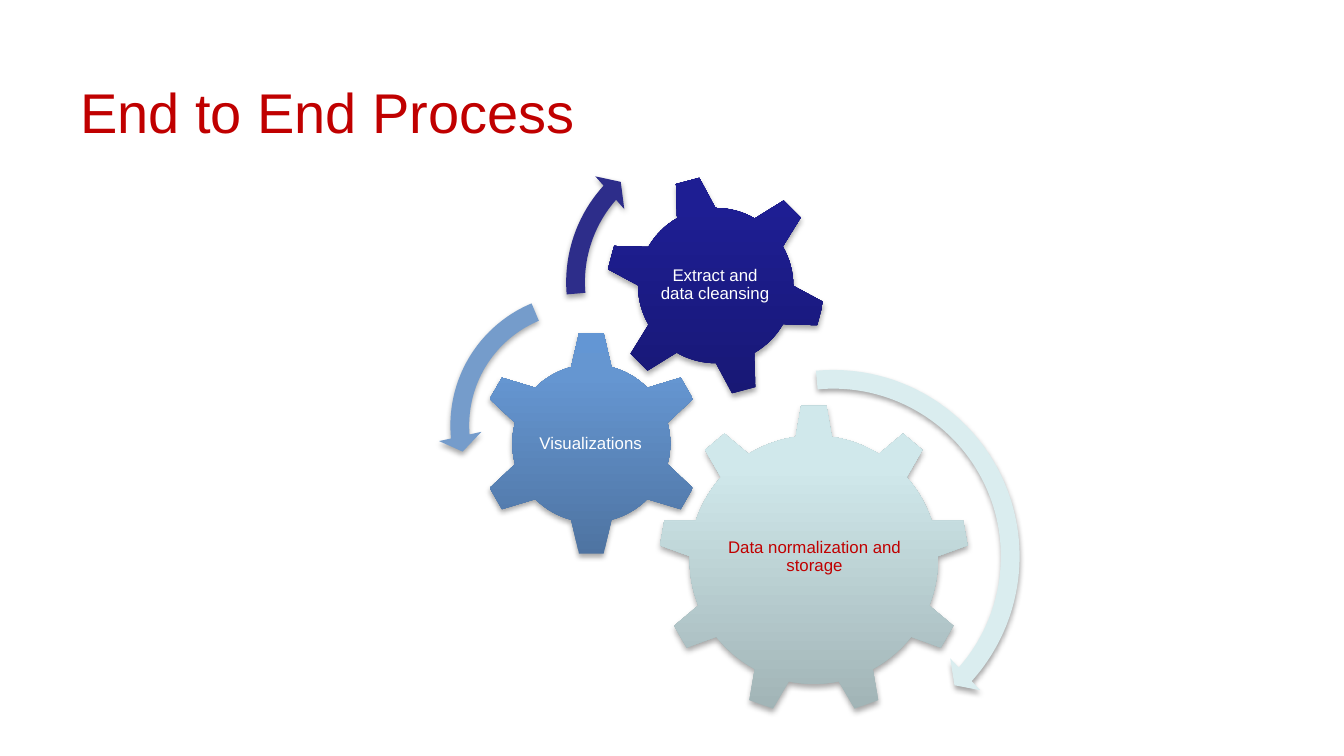
from lxml import etree
from pptx import Presentation
from pptx import util as u
from pptx.dml.color import RGBColor
from pptx.enum import shapes, text
from pptx.oxml import ns

WIDTH = 10
HEIGHT = WIDTH * 9 / 16
COLUMNS = 100
CELL = u.Inches(WIDTH / COLUMNS)  # side of a square grid cell
FONT = "Arial"
COLORS = {
    "red": "C00000",
    "white": "FFFFFF",
    "shadow": "000000",
    "storage arrow": "DAEDEF",
    "visual arrow": "759CCB",
    "extract arrow": "2D2D8A",
}
# Gradient stops from the bottom of a gear to its top
GRADIENTS = {
    "storage": ("A0B3B5", "D0E8EB", "D1EAEC"),
    "visual": ("4E73A1", "6596D1", "6396D4"),
    "extract": ("171771", "1E1E93", "1C1C96"),
}
STOPS = (0, 80, 100)
SHAPE = shapes.MSO_SHAPE


def cells(*counts):
    return [u.Emu(round(count * CELL)) for count in counts]


def add_node(parent, tag, **attributes):
    node = etree.SubElement(parent, ns.qn(tag))
    for name, value in attributes.items():
        node.set(name, str(value))
    return node


def add_text(holder, words, left, top, width, height, *, size, color,
             align=text.PP_ALIGN.LEFT, inset=None, spacing=None):
    box = holder.add_textbox(*cells(left, top, width, height))
    frame = box.text_frame
    frame.word_wrap = True
    frame.vertical_anchor = text.MSO_ANCHOR.MIDDLE
    if inset is not None:
        frame.margin_left = frame.margin_right = u.Inches(inset)
        frame.margin_top = frame.margin_bottom = u.Inches(inset)
    para = frame.paragraphs[0]
    para.alignment = align
    para.line_spacing = spacing
    span = para.add_run()
    span.text = words
    span.font.name = FONT
    span.font.size = u.Pt(size)
    span.font.color.rgb = RGBColor.from_string(COLORS[color])


def add_soft_shadow(shape):
    shape.shadow.inherit = False
    effects = shape._element.spPr.find(ns.qn("a:effectLst"))
    shadow = add_node(effects, "a:outerShdw", blurRad=u.Pt(3.1), dist=u.Pt(1.8),
                      dir=90 * 60000, rotWithShape=0)
    color = add_node(shadow, "a:srgbClr", val=COLORS["shadow"])
    add_node(color, "a:alpha", val=35000)


def fill_upward(shape, colors):
    """Fill with a three-stop gradient that runs up the page, even on a turned shape."""
    shape.fill.gradient()
    gradient = shape._element.spPr.find(ns.qn("a:gradFill"))
    gradient.set("rotWithShape", "0")
    stops = gradient.find(ns.qn("a:gsLst"))
    for stop in list(stops):
        stops.remove(stop)
    for position, color in zip(STOPS, colors):
        stop = add_node(stops, "a:gs", pos=position * 1000)
        add_node(stop, "a:srgbClr", val=color)
    direction = gradient.find(ns.qn("a:lin"))
    direction.set("ang", str(270 * 60000))
    direction.set("scaled", "0")


def add_gear(holder, kind, left, top, side, colors, rotation=0):
    gear = holder.add_shape(kind, *cells(left, top, side, side))
    gear.rotation = rotation
    fill_upward(gear, colors)
    gear.line.fill.background()
    add_soft_shadow(gear)


def add_turn_arrow(holder, kind, left, top, side, color, percents):
    """Add a bent arrow; its adjustments are given in percent."""
    arrow = holder.add_shape(kind, *cells(left, top, side, side))
    for index, percent in enumerate(percents):
        arrow.adjustments[index] = percent / 100
    arrow.fill.solid()
    arrow.fill.fore_color.rgb = RGBColor.from_string(COLORS[color])
    arrow.line.fill.background()
    add_soft_shadow(arrow)


def main():
    deck = Presentation()
    deck.slide_width, deck.slide_height = u.Inches(WIDTH), u.Inches(HEIGHT)
    page = deck.slides.add_slide(deck.slide_layouts[6])
    add_text(page.shapes, "End to End Process", 5, 5, 90, 6.6, size=30, color="red")

    diagram = page.shapes.add_group_shape().shapes
    gears = [
        (SHAPE.GEAR_9, (49, 30.1, 23.1), "storage", 0,
         "Data normalization and storage", (53.7, 35.5, 13.8, 11.9), "red"),
        (SHAPE.GEAR_6, (35.6, 24.6, 16.8), "visual", 0,
         "Visualizations", (39.8, 28.9, 8.3, 8.3), "white"),
        (SHAPE.GEAR_6, (45, 13, 16.5), "extract", 345,
         "Extract and data cleansing", (48.6, 16.6, 9.2, 9.2), "white"),
    ]
    for kind, place, gradient, rotation, words, area, color in gears:
        add_gear(diagram, kind, *place, GRADIENTS[gradient], rotation)
        add_text(diagram, words, *area, size=9, color=color, inset=0.01,
                 align=text.PP_ALIGN.CENTER, spacing=0.9)

    arrows = [
        (SHAPE.CIRCULAR_ARROW, (47.2, 26.6, 29.6), "storage arrow",
         (4.7, 299, 2507.3, 15880.5, 5.5)),
        (SHAPE.LEFT_CIRCULAR_ARROW, (32.6, 20.9, 21.5), "visual arrow",
         (6.5, 430, 10489.1, 14837.8, 7.5)),
        (SHAPE.CIRCULAR_ARROW, (41.2, 9.4, 23.2), "extract arrow",
         (6, 394.1, 13313.8, 10508.2, 7)),
    ]
    for kind, place, color, percents in arrows:
        add_turn_arrow(diagram, kind, *place, color, percents)

    deck.save("out.pptx")


if __name__ == "__main__":
    main()
